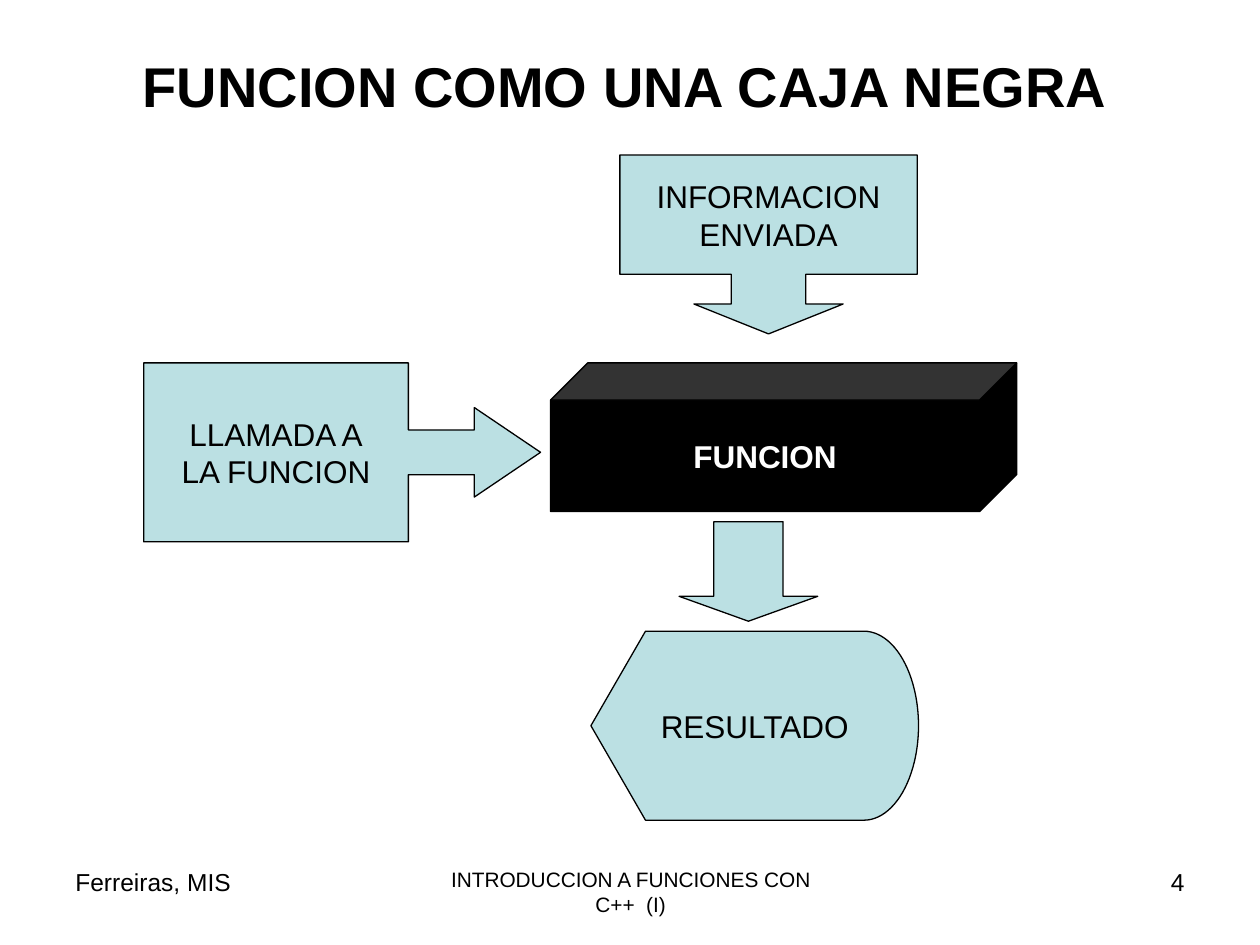
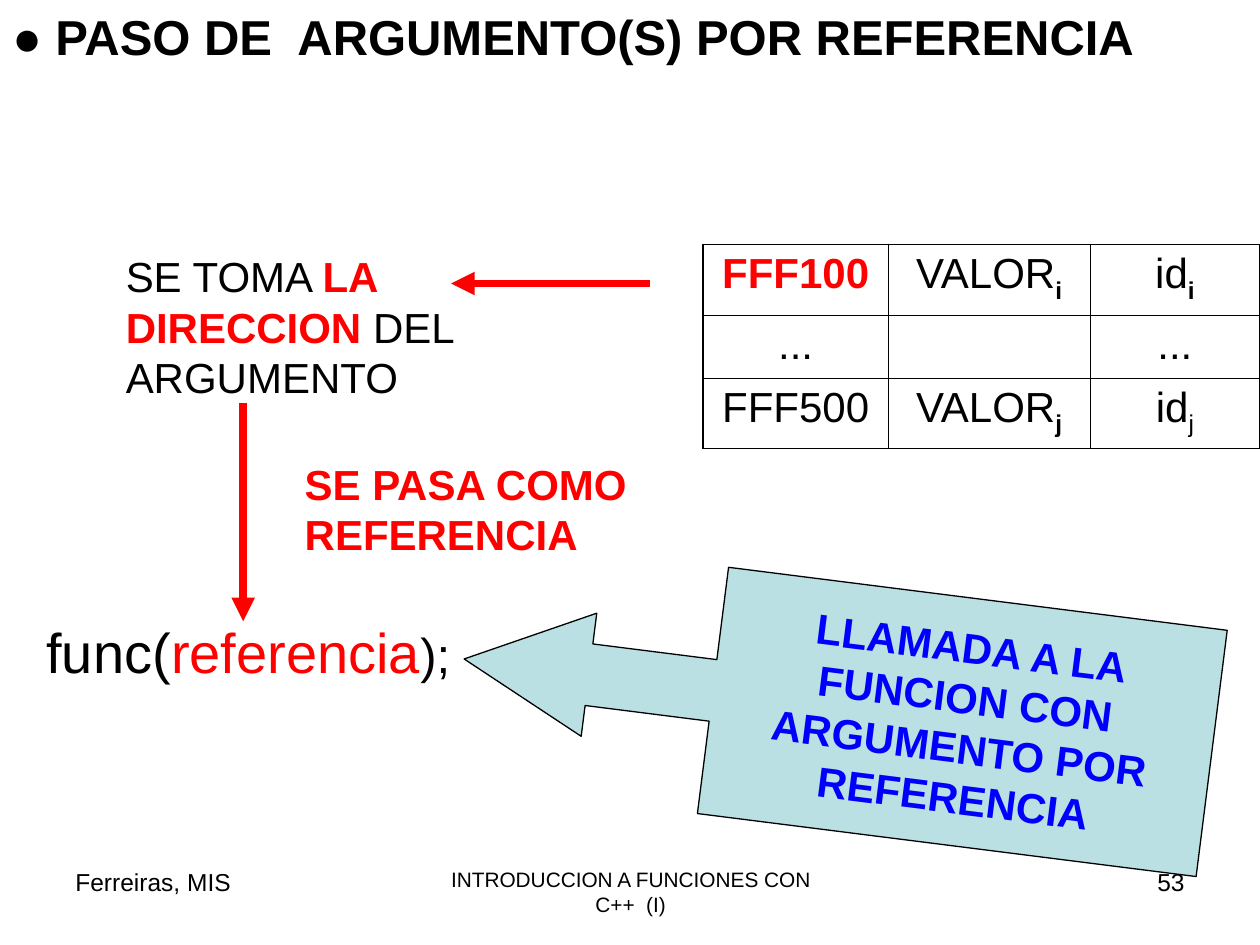
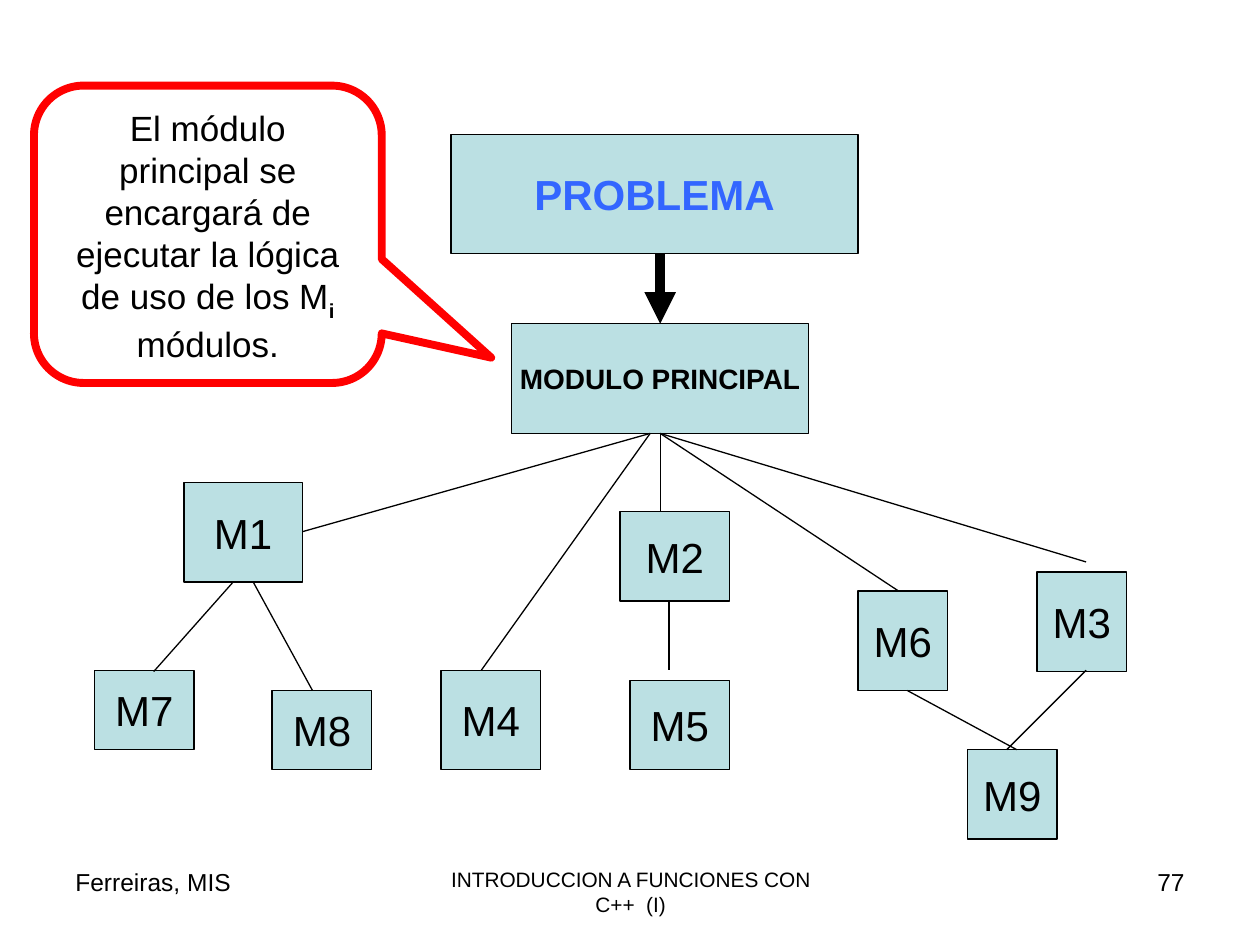
import pptx
import pptx.dml.color
import pptx.enum.shapes
import pptx.enum.text
import pptx.oxml
import pptx.oxml.ns
import pptx.util

PX = 9144  # 100 px to the inch
SHAPE = pptx.enum.shapes.MSO_SHAPE
ALIGN = pptx.enum.text.PP_ALIGN
ANCHOR = pptx.enum.text.MSO_ANCHOR
BLACK, WHITE, RED, BLUE = "000000", "FFFFFF", "FF0000", "0000FF"
AQUA, AZURE = "BBE0E3", "3366FF"
SUB = {"bold": True, "sub": True}


def px(*sizes):
    return [pptx.util.Emu(size * PX) for size in sizes]


def rgb(code):
    return pptx.dml.color.RGBColor.from_string(code)


def node(tag, inner="", **attrs):
    """Make a DrawingML element."""
    names = "".join(f' {key}="{val}"' for key, val in attrs.items())
    space = pptx.oxml.ns.nsdecls("a")
    return pptx.oxml.parse_xml(f"<a:{tag} {space}{names}>{inner}</a:{tag}>")


class Deck:
    font = "Arial"

    def __init__(self):
        self.file = pptx.Presentation()
        self.file.slide_width, self.file.slide_height = px(1000, 750)

    def page(self, number):
        """Start a slide with its footer."""
        blank = self.file.slide_layouts[6]
        self.shapes = self.file.slides.add_slide(blank).shapes
        self.text((50, 683, 233, 52), "Ferreiras, MIS", 14)
        self.text((342, 683, 317, 52), "INTRODUCCION A FUNCIONES CON C++  (I)",
                  11.9, align=ALIGN.CENTER)
        self.text((717, 683, 233, 52), str(number), 14, align=ALIGN.RIGHT)

    def style(self, font, size=None, color=None, bold=None, sub=False):
        font.name = self.font
        if size:
            font.size = pptx.util.Pt(size)
        if color:
            font.color.rgb = rgb(color)
        if bold is not None:
            font.bold = bold

    def fill(self, frame, text, size, color=BLACK, bold=False, align=ALIGN.LEFT):
        """Fill a frame: one paragraph a line, or a list of runs with changes."""
        lines = text.split("\n") if isinstance(text, str) else [text]
        for i, line in enumerate(lines):
            para = frame.add_paragraph() if i else frame.paragraphs[0]
            para.alignment = align
            self.style(para.font, size, color, bold)
            for part in [(line, {})] if isinstance(line, str) else line:
                run = para.add_run()
                run.text, change = part
                if change:
                    self.style(run.font, **change)
                if change.get("sub"):
                    run._r.get_or_add_rPr().set("baseline", "-25000")

    def text(self, box, text, size, **look):
        frame = self.shapes.add_textbox(*px(*box)).text_frame
        frame.word_wrap = True
        self.fill(frame, text, size, **look)
        return frame

    def shape(self, kind, box, text="", size=18, fill=AQUA, line=BLACK,
              width=0.75, adjust=(), turn=0, wrap=False, **look):
        item = self.shapes.add_shape(kind, *px(*box))
        item.shadow.inherit = False
        item.rotation = turn
        for i, value in enumerate(adjust):
            item.adjustments[i] = value
        if fill:
            item.fill.solid()
            item.fill.fore_color.rgb = rgb(fill)
        else:
            item.fill.background()
        item.line.color.rgb = rgb(line)
        item.line.width = pptx.util.Pt(width)
        if text:
            frame = item.text_frame
            frame.word_wrap = wrap
            frame.vertical_anchor = ANCHOR.TOP if wrap else ANCHOR.MIDDLE
            self.fill(frame, text, size, align=ALIGN.CENTER, **look)

    def line(self, start, end, color=BLACK, width=0.75, arrow=False):
        straight = pptx.enum.shapes.MSO_CONNECTOR.STRAIGHT
        item = self.shapes.add_connector(straight, *px(*start, *end))
        item.line.color.rgb = rgb(color)
        item.line.width = pptx.util.Pt(width)
        if arrow:
            item.line._get_or_add_ln().append(node("tailEnd", type="triangle"))
        item._element.spPr.append(node("effectLst"))

    def table(self, box, cols, rows, data, size):
        """Draw a ruled table; each cell is a text or runs, with its look."""
        grid = self.shapes.add_table(len(rows), len(cols), *px(*box)).table
        grid.first_row = grid.horz_banding = False
        for col, width in zip(grid.columns, px(*cols)):
            col.width = width
        for row, height in zip(grid.rows, px(*rows)):
            row.height = height
        for r, line in enumerate(data):
            for c, (text, look) in enumerate(line):
                cell = grid.cell(r, c)
                edges = {"L": c == 0, "R": c == len(cols) - 1,
                         "T": r == 0, "B": r == len(rows) - 1}
                for side, outer in edges.items():
                    paint = f'<a:solidFill><a:srgbClr val="{BLACK}"/></a:solidFill>'
                    weight = pptx.util.Pt(1.08 if outer else 0.45)
                    cell._tc.get_or_add_tcPr().append(
                        node("ln" + side, paint, w=int(weight)))
                cell.fill.background()
                self.fill(cell.text_frame, text, size, align=ALIGN.CENTER, **look)


def black_box(deck):
    deck.page(4)
    deck.shape(SHAPE.DOWN_ARROW_CALLOUT, (492, 123, 236, 142),
               "INFORMACION\nENVIADA", adjust=(0.417, 0.417, 0.167, 0.667))
    deck.shape(SHAPE.RIGHT_ARROW_CALLOUT, (114, 288, 315, 142),
               "LLAMADA A\nLA FUNCION", adjust=(0.25, 0.25, 0.37, 0.667))
    deck.shape(SHAPE.DOWN_ARROW, (539, 414, 110, 79), adjust=(0.5, 0.25))
    deck.shape(SHAPE.CUBE, (437, 288, 370, 118), "FUNCION", fill=BLACK,
               adjust=(0.25,), color=WHITE, bold=True)
    deck.shape(SHAPE.FLOWCHART_DISPLAY, (469, 501, 260, 150), "RESULTADO")
    deck.text((67, 36, 858, 64), "FUNCION COMO UNA CAJA NEGRA", 32,
              bold=True, align=ALIGN.CENTER)


def by_reference(deck):
    deck.page(53)
    title = deck.text((0, 0, 973, 79), "● PASO DE  ARGUMENTO(S) POR REFERENCIA",
                      28, bold=True)
    hang = title.paragraphs[0]._p.get_or_add_pPr()
    hang.set("marL", str(38 * PX))
    hang.set("indent", str(-38 * PX))
    memory = [
        [("FFF100", {"color": RED, "bold": True}),
         ([("VALOR", {}), ("i", SUB)], {}), ([("id", {}), ("i", SUB)], {})],
        [("...", {}), ("", {}), ("...", {})],
        [("FFF500", {}), ([("VALOR", {}), ("j", SUB)], {}),
         ([("id", {}), ("j", {"sub": True})], {})],
    ]
    deck.table((558, 194, 442, 162), (147, 160, 135), (56, 50, 56), memory, 24)
    deck.text((27, 485, 536, 64), [("func(", {}), ("referencia", {"color": RED}),
                                   (");", {"size": 28})], 32)
    deck.text((90, 194, 284, 130),
              [("SE TOMA ", {}), ("LA DIRECCION", {"color": RED, "bold": True}),
               (" DEL ARGUMENTO", {})], 24)
    for start, end in [((516, 225), (358, 225)), ((193, 320), (193, 493))]:
        deck.line(start, end, RED, 4.5, arrow=True)
    deck.text((232, 359, 291, 90), "SE PASA COMO REFERENCIA", 24,
              color=RED, bold=True)
    deck.shape(SHAPE.LEFT_ARROW_CALLOUT, (366, 462, 598, 197),
               "LLAMADA A LA\nFUNCION CON\nARGUMENTO POR\nREFERENCIA", 24,
               adjust=(0.25, 0.25, 0.507, 0.667), turn=7.2, color=BLUE, bold=True)


def tree(deck):
    deck.page(77)
    deck.shape(SHAPE.RECTANGLE, (358, 107, 323, 94), "PROBLEMA", 24,
               color=AZURE, bold=True)
    deck.shape(SHAPE.RECTANGLE, (406, 257, 236, 87), "MODULO PRINCIPAL", 16,
               bold=True)
    boxes = {
        "M1": (146, 383, 94, 79), "M7": (75, 532, 79, 63),
        "M8": (216, 548, 79, 63), "M2": (492, 406, 87, 71),
        "M5": (500, 540, 79, 71), "M6": (681, 469, 71, 79),
        "M4": (350, 532, 79, 79), "M3": (823, 454, 71, 79),
        "M9": (768, 595, 71, 71),
    }
    for name, box in boxes.items():
        deck.shape(SHAPE.RECTANGLE, box, name, 24)
    left, mid = (516, 344), (524, 344)
    links = [
        ((122, 533), (185, 462)), ((201, 462), (248, 548)),
        ((382, 532), left), (mid, (524, 406)), (mid, (713, 469)),
        ((531, 477), (531, 532)), (mid, (862, 446)), ((240, 422), left),
        ((720, 548), (807, 595)), ((862, 532), (799, 595)),
    ]
    for start, end in links:
        deck.line(start, end)
    deck.line((524, 202), (524, 257), width=6, arrow=True)
    note = [("El módulo principal se encargará de ejecutar la lógica "
             "de uso de los M", {}), ("i", SUB), (" módulos.", {})]
    deck.shape(SHAPE.ROUNDED_RECTANGULAR_CALLOUT, (27, 68, 276, 236), note, 20,
               fill=None, line=RED, width=4.5, adjust=(0.815, 0.415, 0.167),
               wrap=True)


def main():
    deck = Deck()
    black_box(deck)
    by_reference(deck)
    tree(deck)
    deck.file.save("out.pptx")


if __name__ == "__main__":
    main()
